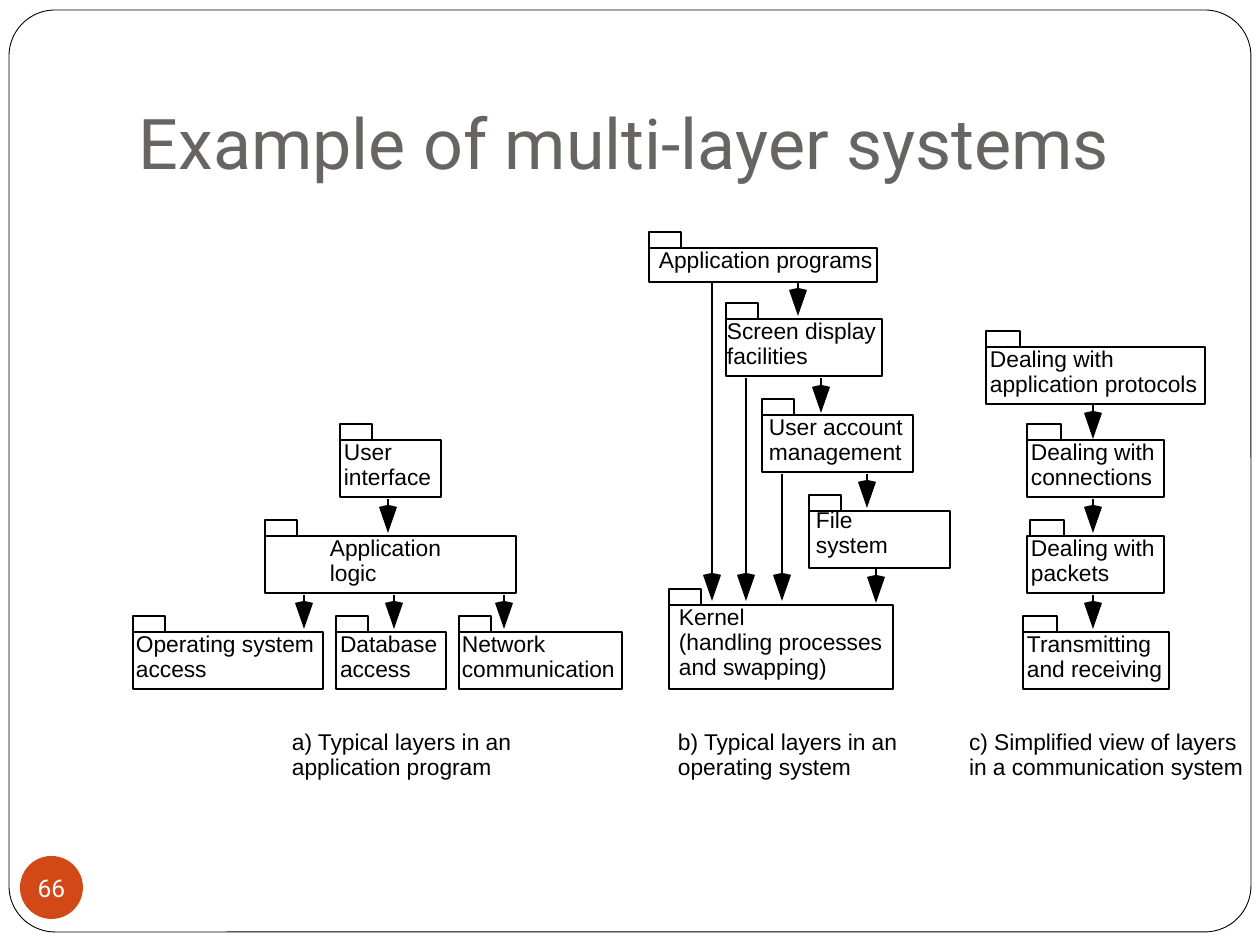
from pptx import Presentation, util as u
from pptx.dml import color
from pptx.enum import shapes, text
from pptx.oxml import ns
from lxml import etree

PX = 914400 / 126
COLORS = {"ink": "000000", "paper": "FFFFFF", "title": "696464", "badge": "D34817"}
TAB_HEIGHT = 16
HEAD = [(-9, 2), (-5, 1), (0, 0), (5, 1), (9, 2), (0, 28)]


def px(*lengths):
    """Turn px lengths into EMU."""
    return [round(length * PX) for length in lengths]


def rgb(name):
    """Look up a named colour."""
    return color.RGBColor.from_string(COLORS[name])


def add_box(page, kind, box, fill="paper", line_width=None):
    """Add a filled preset shape, outlined when a line width is given."""
    shape = page.shapes.add_shape(kind, *px(*box))
    shape.shadow.inherit = False
    shape.fill.solid()
    shape.fill.fore_color.rgb = rgb(fill)
    if line_width:
        shape.line.color.rgb = rgb("ink")
        shape.line.width = u.Pt(line_width)
    else:
        shape.line.fill.background()
    return shape


def set_margins(frame, left=0, top=0, right=0, bottom=0):
    """Set the insets of a text frame in px."""
    frame.margin_left, frame.margin_top, frame.margin_right, frame.margin_bottom = px(
        left, top, right, bottom)


def add_span(para, words, size, font="Arial", ink="ink"):
    """Add one run of text to a paragraph."""
    span = para.add_run()
    span.text = words
    span.font.size = u.Pt(size)
    span.font.name = font
    span.font.color.rgb = rgb(ink)


def add_label(page, left, top, width, lines):
    """Add a block of diagram text, one paragraph to a line."""
    frame = page.shapes.add_textbox(*px(left, top, width, 25 * len(lines))).text_frame
    frame.word_wrap = True
    set_margins(frame)
    for index, words in enumerate(lines):
        para = frame.paragraphs[0] if index == 0 else frame.add_paragraph()
        para.line_spacing = u.Pt(14.4)
        add_span(para, words, 13)


def add_package(page, box, lines, inset=4, lift=0, tab_width=32, tab_shift=0):
    """Add a package: body, tab on its top left edge, and name."""
    left, top, width, height = box
    add_box(page, shapes.MSO_SHAPE.RECTANGLE, box, line_width=1.25)
    tab = (left + tab_shift, top - TAB_HEIGHT, tab_width, TAB_HEIGHT)
    add_box(page, shapes.MSO_SHAPE.RECTANGLE, tab, line_width=1.25)
    add_label(page, left + inset, top - lift, width, lines)


def add_arrow(page, x, start, tip):
    """Add a downward arrow with a tapered head."""
    shaft = page.shapes.add_connector(
        shapes.MSO_CONNECTOR.STRAIGHT, *px(x, start, x, tip - 26))
    shaft.line.color.rgb = rgb("ink")
    shaft.line.width = u.Pt(1.25)
    etree.SubElement(shaft._element.spPr, ns.qn("a:effectLst"))
    points = [(x + across, tip - 28 + down) for across, down in HEAD]
    builder = page.shapes.build_freeform(*points[0], scale=PX)
    builder.add_line_segments(points[1:], close=True)
    head = builder.convert_to_shape()
    head.shadow.inherit = False
    head.fill.solid()
    head.fill.fore_color.rgb = rgb("ink")
    head.line.fill.background()


def add_arrows(page, left, top, arrows):
    """Add arrows given relative to a corner."""
    for x, start, tip in arrows:
        add_arrow(page, left + x, top + start, top + tip)


def add_application(page, left, top):
    """Place the layers of an application program."""
    packages = [
        (207, 16, 101, 4, ["User", "interface"]),
        (132, 112, 251, 65, ["Application", "logic"]),
        (0, 208, 190, 3, ["Operating system", "access"]),
        (203, 208, 110, 4, ["Database", "access"]),
        (326, 208, 163, 3, ["Network", "communication"]),
    ]
    for x, y, width, inset, lines in packages:
        add_package(page, (left + x, top + y, width, 57), lines, inset)
    add_arrows(page, left, top, [(255, 75, 109)] + [(x, 171, 205) for x in (171, 261, 371)])
    add_label(page, left + 159, top + 306, 280,
              ["a) Typical layers in an", "application program"])


def add_operating_system(page, left, top):
    """Place the layers of an operating system."""
    packages = [
        (0, 15, 228, 34, 10, 0, ["Application programs"]),
        (77, 86, 156, 57, 1, 0, ["Screen display", "facilities"]),
        (113, 182, 151, 57, 7, 0, ["User account", "management"]),
        (160, 278, 141, 57, 7, 3, ["File", "system"]),
        (20, 372, 224, 84, 10, 0, ["Kernel", "(handling processes", "and swapping)"]),
    ]
    for x, y, width, height, inset, lift, lines in packages:
        add_package(page, (left + x, top + y, width, height), lines, inset, lift)
    steps = [(149, 49, 83), (172, 145, 180), (218, 241, 275), (227, 334, 370)]
    calls = [(x, start, 368) for x, start in ((63, 49), (97, 145), (133, 241))]
    add_arrows(page, left, top, steps + calls)
    add_label(page, left + 29, top + 497, 280,
              ["b) Typical layers in an", "operating system"])


def add_communication(page, left, top):
    """Place the layers of a communication system."""
    packages = [
        (17, 16, 219, 0, ["Dealing with", "application protocols"]),
        (58, 109, 137, 0, ["Dealing with", "connections"]),
        (58, 205, 137, 3, ["Dealing with", "packets"]),
        (54, 301, 146, 0, ["Transmitting", "and receiving"]),
    ]
    for x, y, width, shift, lines in packages:
        add_package(page, (left + x, top + y, width, 57), lines,
                    tab_width=34, tab_shift=shift)
    add_arrows(page, left, top, [(124, 72, 108), (124, 168, 202), (124, 264, 298)])
    add_label(page, left, top + 399, 285,
              ["c) Simplified view of layers", "in a communication system"])


def add_frame(page, box):
    """Place the rounded border of the page."""
    border = add_box(page, shapes.MSO_SHAPE.ROUNDED_RECTANGLE, box, line_width=0.5)
    border.adjustments[0] = 0.05


def add_title(page, box):
    """Place the heading at the bottom of its box."""
    frame = page.shapes.add_textbox(*px(*box)).text_frame
    frame.word_wrap = True
    frame.vertical_anchor = text.MSO_ANCHOR.BOTTOM
    set_margins(frame, 13, 6, 13, 13)
    add_span(frame.paragraphs[0], "Example of multi-layer systems", 40, "Roboto", "title")


def add_page_number(page, box):
    """Place the round page number."""
    frame = add_box(page, shapes.MSO_SHAPE.OVAL, box, "badge").text_frame
    frame.word_wrap = False
    frame.vertical_anchor = text.MSO_ANCHOR.MIDDLE
    set_margins(frame)
    frame.paragraphs[0].alignment = text.PP_ALIGN.CENTER
    add_span(frame.paragraphs[0], "66", 14, "Roboto", "paper")


def main():
    """Build and save the slide."""
    deck = Presentation()
    deck.slide_width, deck.slide_height = px(1260, 945)
    page = deck.slides.add_slide(deck.slide_layouts[6])
    add_frame(page, (9, 10, 1242, 922))
    add_title(page, (126, 38, 1071, 158))
    add_application(page, 133, 424)
    add_operating_system(page, 649, 233)
    add_communication(page, 969, 331)
    add_page_number(page, (20, 856, 63, 63))
    deck.save("out.pptx")


if __name__ == "__main__":
    main()
